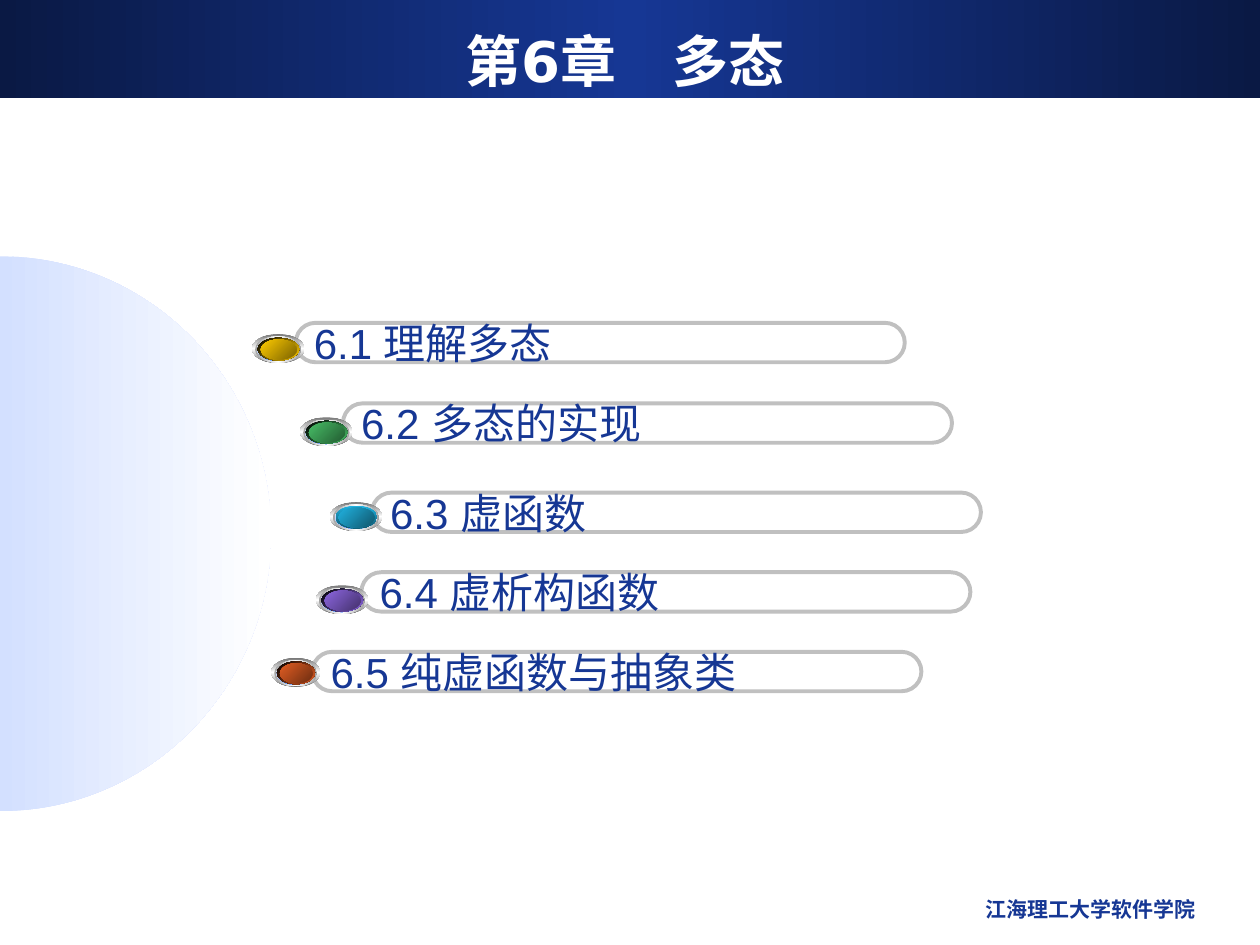
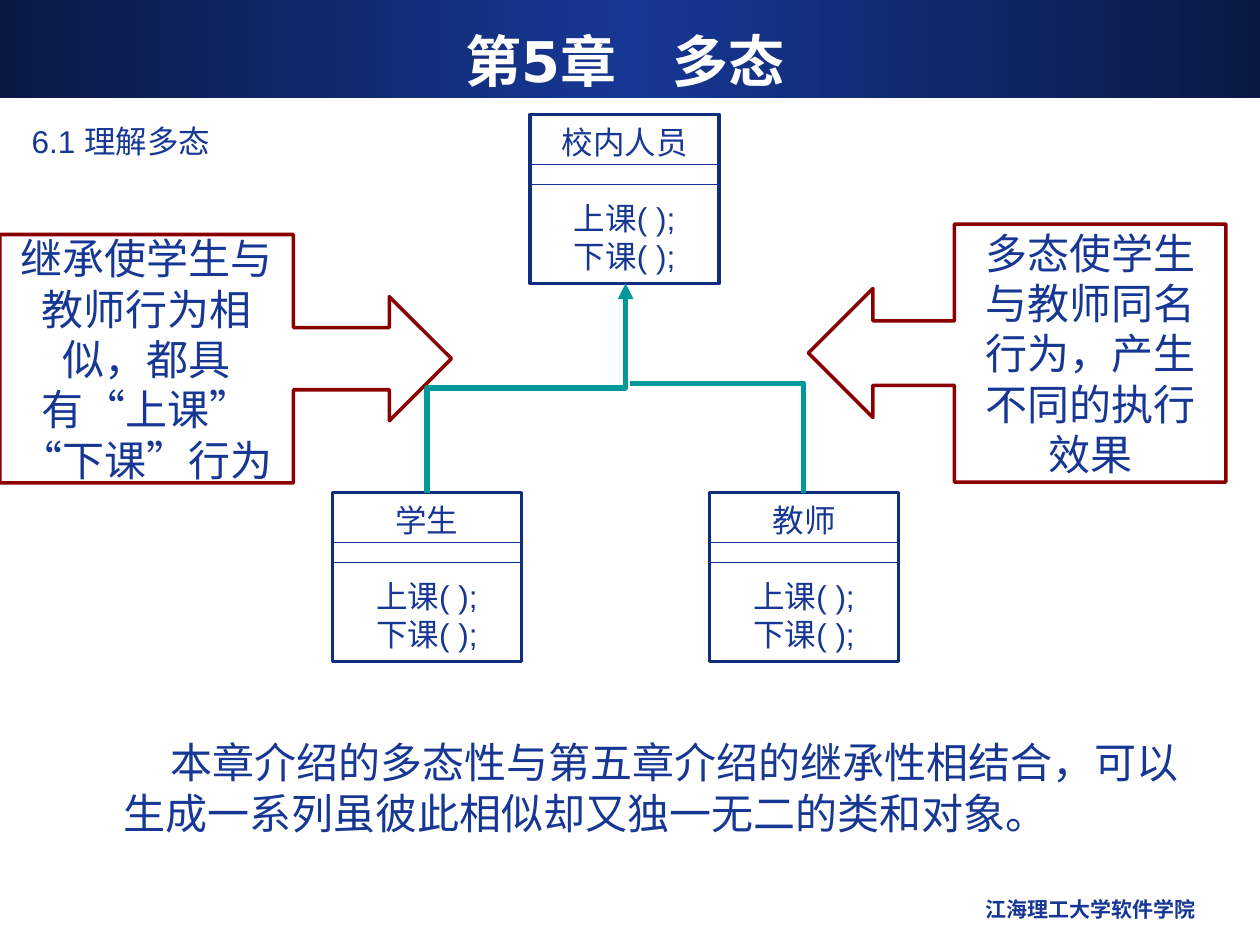
import math

from lxml import etree
from pptx import Presentation
from pptx import util as u
from pptx.dml.color import RGBColor
from pptx.enum import shapes, text
from pptx.oxml import ns

Pt = u.Pt
KIND = shapes.MSO_SHAPE
ALIGN = text.PP_ALIGN
ANCHOR = text.MSO_ANCHOR

C = {
    "navy": "0A1944", "blue": "163794", "box": "112D7E", "divider": "123494",
    "white": "FFFFFF", "black": "000000", "pale": "D3E0FF", "sky": "6699FF",
    "silver": "C0C0C0", "steel": "767676", "grey": "A2A2A2",
    "red": "8A0000", "teal": "009999",
    "gold": "FFCC00", "gold_dark": "7C6300",
    "green": "48BE67", "green_dark": "235C32",
    "cyan": "21B3E1", "cyan_dark": "10576D",
    "violet": "8D67E1", "violet_dark": "45326D",
    "orange": "E35E23", "orange_dark": "6E2E11",
}

TOPICS = [
    ("6.1 理解多态", 169, 184.5, 144, 191, 30, "gold"),
    ("6.2 多态的实现", 196, 230.5, 171.5, 238.5, 30, "green"),
    ("6.3 虚函数", 212.5, 281.5, 188.5, 287, 30, "cyan"),
    ("6.4 虚析构函数", 206.5, 327, 180.5, 334.5, 30, "violet"),
    ("6.5 纯虚函数与抽象类", 178.5, 372.5, 155, 376, 28, "orange"),
]


def rgb(name):
    return RGBColor.from_string(C[name])


def write(tf, content, size=18, color="blue", bold=False, font="Arial",
          align=ALIGN.LEFT, anchor=ANCHOR.TOP, wrap=True, before=None):
    tf.word_wrap = wrap
    tf.auto_size = text.MSO_AUTO_SIZE.NONE
    tf.vertical_anchor = anchor
    for i, line in enumerate(content.split("\n")):
        p = tf.paragraphs[0] if i == 0 else tf.add_paragraph()
        p.alignment = align
        p.space_before = Pt((before or {}).get(i, 0))
        p._p.get_or_add_pPr().set("hangingPunct", "0")
        r = p.add_run()
        r.text = line
        r.font.size = Pt(size)
        r.font.bold = bold
        r.font.name = font
        r.font.color.rgb = rgb(color)
    return tf


def gradient(sp, colors, angle=0):
    sp.fill.background()
    spPr = sp._element.spPr
    grad = etree.Element(ns.qn("a:gradFill"), rotWithShape="1")
    stops = etree.SubElement(grad, ns.qn("a:gsLst"))
    for i, name in enumerate(colors):
        pos = 100000 * i // (len(colors) - 1)
        gs = etree.SubElement(stops, ns.qn("a:gs"), pos=str(pos))
        etree.SubElement(gs, ns.qn("a:srgbClr"), val=C[name])
    etree.SubElement(grad, ns.qn("a:lin"), ang=str(angle * 60000), scaled="0")
    spPr.replace(spPr.find(ns.qn("a:noFill")), grad)


def style(sp, fill=None, line=None, width=2):
    sp.shadow.inherit = False
    if fill:
        sp.fill.solid()
        sp.fill.fore_color.rgb = rgb(fill)
    else:
        sp.fill.background()
    if line:
        sp.line.color.rgb = rgb(line)
        sp.line.width = Pt(width)
    else:
        sp.line.fill.background()


def shape(parent, kind, x, y, w, h, **fmt):
    sp = parent.shapes.add_shape(kind, Pt(x), Pt(y), Pt(w), Pt(h))
    style(sp, **fmt)
    return sp


def text_box(s, content, x, y, w, h, **fmt):
    sp = s.shapes.add_textbox(Pt(x), Pt(y), Pt(w), Pt(h))
    return write(sp.text_frame, content, **fmt)


def connector(s, kind, x1, y1, x2, y2, color, width):
    c = s.shapes.add_connector(kind, Pt(x1), Pt(y1), Pt(x2), Pt(y2))
    c.line.color.rgb = rgb(color)
    c.line.width = Pt(width)
    etree.SubElement(c._element.spPr, ns.qn("a:effectLst"))
    return c


def base_slide(prs, title):
    s = prs.slides.add_slide(prs.slide_layouts[5])
    band = shape(s, KIND.RECTANGLE, 0, 0, 720, 56)
    gradient(band, ["navy", "blue", "navy"])
    sp = s.shapes.title
    sp._element.addprevious(band._element)
    sp.left, sp.top, sp.width, sp.height = Pt(24), Pt(12), Pt(666), Pt(44.5)
    write(sp.text_frame, title, size=32, color="white", bold=True,
          font="DejaVu Sans", align=ALIGN.CENTER, anchor=ANCHOR.MIDDLE)
    text_box(s, "江海理工大学软件学院", 462, 509, 228.5, 25, size=12,
             bold=True, align=ALIGN.RIGHT)
    return s


def half_disc(s, cy, rx, ry):
    angles = [math.radians(a) for a in range(-90, 91, 2)]
    pts = [(Pt(rx * math.cos(a)), Pt(cy + ry * math.sin(a))) for a in angles]
    fb = s.shapes.build_freeform(*pts[0])
    fb.add_line_segments(pts[1:], close=True)
    sp = fb.convert_to_shape()
    style(sp)
    gradient(sp, ["pale", "white"])


def topic_bar(s, label, x, y):
    sp = shape(s, KIND.ROUNDED_RECTANGLE, x, y, 348, 22.5,
               line="silver", width=2.25)
    sp.adjustments[0] = 0.5
    write(sp.text_frame, label, size=24, anchor=ANCHOR.MIDDLE, wrap=False)


def jewel(s, x, y, w, color):
    dark = color + "_dark"
    rim = (["cyan", dark], 90) if color == "cyan" else (["black", color], 45)
    layers = [
        (0, 0, 0, 16.5, ["steel", "white", "steel"], 90),
        (1.75, 1.25, 3.5, 15, ["grey", "white", "grey"], 0),
        (3, 2.25, 6.25, 13, ["white", "sky", "white"], 45),
        (3.25, 2, 6.25, 13, *rim),
        (5, 3, 9.5, 11.5, [color, dark], 45),
    ]
    g = s.shapes.add_group_shape()
    for dx, dy, narrower, h, colors, angle in layers:
        sp = shape(g, KIND.OVAL, x + dx, y + dy, w - narrower, h)
        gradient(sp, colors, angle)


def class_box(s, name, x, y, w=108, h=96.5):
    sp = shape(s, KIND.RECTANGLE, x, y, w, h, fill="white", line="box")
    write(sp.text_frame, name + "\n上课( );\n下课( );", align=ALIGN.CENTER,
          anchor=ANCHOR.MIDDLE, before={1: 22})
    for dy in (28.5, 40):
        connector(s, shapes.MSO_CONNECTOR.STRAIGHT, x, y + dy, x + w, y + dy,
                  "divider", 0.75)


def callout(s, content, x, y, w, h, mirrored=False):
    sp = shape(s, KIND.RIGHT_ARROW_CALLOUT, x, y, w, h,
               fill="white", line="red")
    sp.adjustments[3] = 0.65
    if mirrored:
        sp._element.spPr.xfrm.set("flipH", "1")
    write(sp.text_frame, content, size=24, align=ALIGN.CENTER,
          anchor=ANCHOR.MIDDLE)


def inheritance_lines(s):
    elbow = shapes.MSO_CONNECTOR.ELBOW
    c = connector(s, elbow, 360.5, 278.5, 241, 165, "teal", 3)
    c._element.spPr.xfrm.set("rot", "5400000")
    ln = c._element.spPr.find(ns.qn("a:ln"))
    etree.SubElement(ln, ns.qn("a:tailEnd"), type="triangle")
    c = connector(s, elbow, 360, 219, 459.25, 281.5, "teal", 3)
    c._element.spPr.find(ns.qn("a:prstGeom")).set("prst", "bentConnector2")


def contents_slide(prs):
    s = base_slide(prs, "第6章　多态")
    half_disc(s, 305, 155, 158.5)
    for label, x, y, *_ in TOPICS:
        topic_bar(s, label, x, y)
    for *_, x, y, w, color in TOPICS:
        jewel(s, x, y, w, color)


def polymorphism_slide(prs):
    s = base_slide(prs, "第5章　多态")
    tf = text_box(
        s, "本章介绍的多态性与第五章介绍的继承性相结合，"
        "可以生成一系列虽彼此相似却又独一无二的类和对象。",
        36.5, 417.5, 657.5, 86.5, size=24, before={0: 6})
    pPr = tf.paragraphs[0]._p.get_or_add_pPr()
    pPr.set("marL", str(Pt(27)))
    pPr.set("indent", str(Pt(27)))
    text_box(s, "6.1 理解多态", 11, 66, 656, 29.5)
    callout(s, "继承使学生与教师行为相似，都具有“上课”\n“下课”行为",
            0, 134, 258, 142)
    class_box(s, "校内人员", 303, 65.5)
    class_box(s, "学生", 190, 281.5)
    class_box(s, "教师", 405.5, 281.5)
    inheritance_lines(s)
    callout(s, "多态使学生与教师同名行为，产生不同的执行效果",
            462, 128, 238.5, 147.5, mirrored=True)


def main():
    prs = Presentation()
    prs.slide_width, prs.slide_height = Pt(720), Pt(540)
    contents_slide(prs)
    polymorphism_slide(prs)
    prs.save("out.pptx")


if __name__ == "__main__":
    main()
